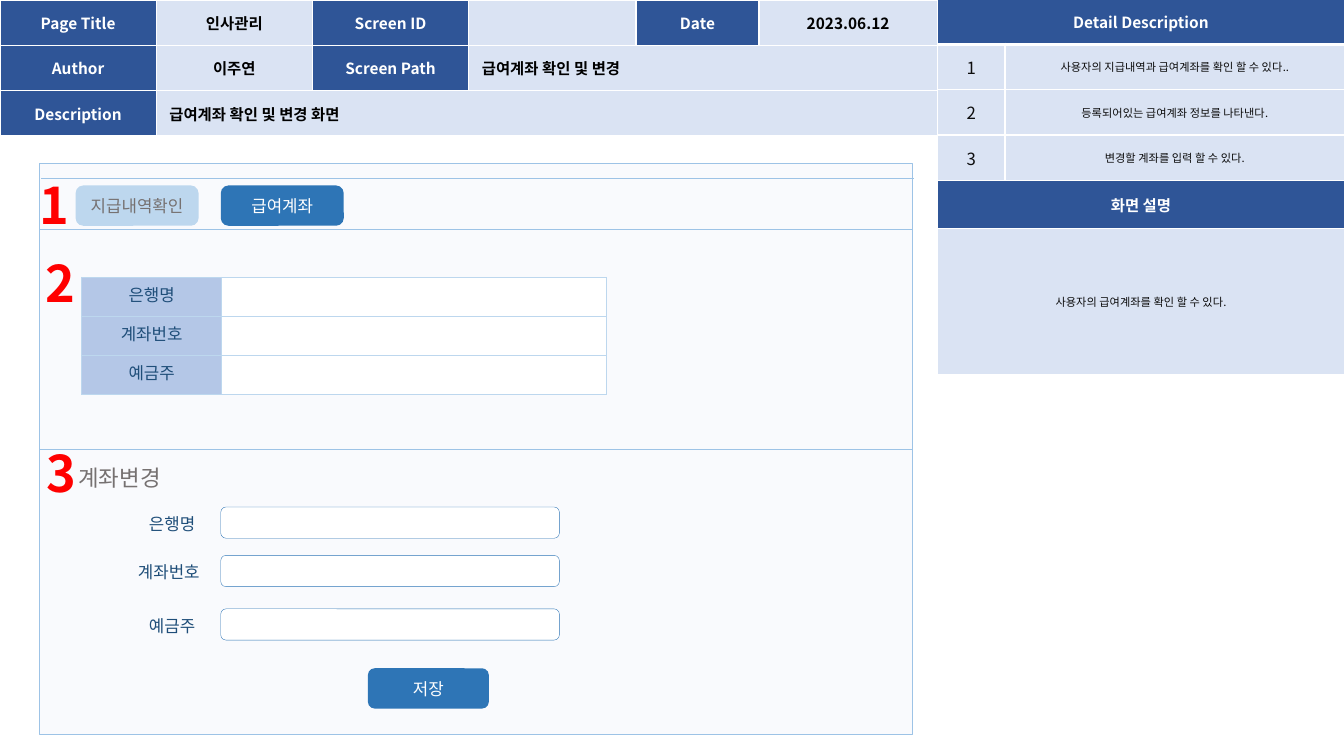
from dataclasses import dataclass, field

from pptx import Presentation
from pptx import util as u
from pptx.dml.color import RGBColor
from pptx.enum import shapes, text
from pptx.oxml.ns import qn
from lxml import etree

CENTER, LEFT = text.PP_ALIGN.CENTER, text.PP_ALIGN.LEFT
MIDDLE, TOP = text.MSO_ANCHOR.MIDDLE, text.MSO_ANCHOR.TOP
KIND = shapes.MSO_SHAPE


@dataclass(frozen=True)
class Style:
    """Look of a text and of the area behind it."""
    size: float
    color: str
    bold: bool = False
    fill: str | None = None
    align: int = CENTER
    anchor: int = MIDDLE
    inset: tuple = (1, 0.5)


@dataclass(frozen=True)
class Theme:
    font: str = "Noto Sans CJK KR"
    white: str = "FFFFFF"
    panel: str = "F9FAFD"
    rule: str = "9DC3E6"
    grid: str = "BDD7EE"
    button: str = "2E75B6"
    styles: dict = field(default_factory=lambda: {
        "head": Style(11, "FFFFFF", True, "2F5597", inset=(1.3, 0.5)),
        "value": Style(11, "000000", True, "DAE3F3", inset=(1.3, 0.5)),
        "phrase": Style(11, "000000", True, "DAE3F3", LEFT, inset=(1.3, 0.5)),
        "index": Style(12, "0D0D0D", False, "DAE3F3", inset=(1.3, 0.5)),
        "note": Style(8, "0D0D0D", False, "DAE3F3", inset=(1, 0.4)),
        "field": Style(12, "1F4E79", False, "B4C7E7", anchor=TOP),
        "entry": Style(12, "1F4E79", False, "FFFFFF", anchor=TOP),
        "label": Style(12, "1F4E79", align=LEFT, anchor=TOP),
        "section": Style(16, "767171", align=LEFT, anchor=TOP),
        "marker": Style(36, "FF0000", True, align=LEFT, anchor=TOP),
        "tab off": Style(12, "767171", fill="BDD7EE"),
        "tab on": Style(12, "FFFFFF", fill="2E75B6"),
    })


THEME = Theme()


def cells(count):
    """Grid steps, ten to the inch: the slide is 133.3 columns by 75 rows."""
    return u.Inches(count / 10)


def assign(target, values):
    for name, value in values.items():
        setattr(target, name, value)


def paint(area, color):
    area.fill.solid()
    area.fill.fore_color.rgb = RGBColor.from_string(color)


def outline(line, color, width):
    line.color.rgb = RGBColor.from_string(color)
    line.width = u.Pt(width)


def write(frame, words, style):
    para = frame.paragraphs[0]
    para.alignment = style.align
    if not words:
        etree.SubElement(para._p, qn("a:endParaRPr"), sz=str(int(style.size * 100)))
        return
    span = para.add_run()
    span.text = words
    assign(span.font, {"name": THEME.font, "size": u.Pt(style.size), "bold": style.bold})
    span.font.color.rgb = RGBColor.from_string(style.color)
    etree.SubElement(span.font._element, qn("a:ea"), typeface=THEME.font)


def margins(style):
    across, down = map(cells, style.inset)
    return {"margin_left": across, "margin_right": across,
            "margin_top": down, "margin_bottom": down}


def cell_borders(cell, color, width, bottom=None):
    properties = cell._tc.get_or_add_tcPr()
    for index, side in enumerate(("lnL", "lnR", "lnT", "lnB")):
        points = bottom if bottom and side == "lnB" else width
        edge = etree.Element(qn(f"a:{side}"), w=str(u.Pt(points)))
        solid = etree.SubElement(edge, qn("a:solidFill"))
        etree.SubElement(solid, qn("a:srgbClr"), val=color)
        properties.insert(index, edge)


def add_grid(page, left, top, columns, rows, content, border, bottom_of_head=None):
    """Content rows hold (words, style name, columns spanned)."""
    table = page.shapes.add_table(len(rows), len(columns), cells(left), cells(top),
                                  cells(sum(columns)), cells(sum(rows))).table
    assign(table, {"first_row": False, "horz_banding": False})
    for column, width in zip(table.columns, columns):
        column.width = cells(width)
    for row, height in zip(table.rows, rows):
        row.height = cells(height)
    for y, entries in enumerate(content):
        x = 0
        for words, name, reach in entries:
            style = THEME.styles[name]
            for offset in range(reach):
                cell = table.cell(y, x + offset)
                assign(cell, {**margins(style), "vertical_anchor": style.anchor})
                paint(cell, style.fill)
                cell_borders(cell, *border, bottom_of_head if y == 0 else None)
                write(cell.text_frame, "" if offset else words, style)
            if reach > 1:
                table.cell(y, x).merge(table.cell(y, x + reach - 1))
            x += reach


def add_panel(page, kind, place, fill, line=None, corner=None):
    panel = page.shapes.add_shape(kind, *map(cells, place))
    panel.shadow.inherit = False
    paint(panel, fill)
    if line:
        outline(panel.line, *line)
    else:
        panel.line.fill.background()
    if corner:
        panel.adjustments[0] = corner
    return panel


def add_button(page, words, name, place, corner):
    style = THEME.styles[name]
    button = add_panel(page, KIND.ROUNDED_RECTANGLE, place, style.fill, corner=corner)
    button.text_frame.vertical_anchor = style.anchor
    write(button.text_frame, words, style)


def add_words(page, words, name, place):
    style = THEME.styles[name]
    box = page.shapes.add_textbox(*map(cells, place))
    assign(box.text_frame, {"word_wrap": True, "vertical_anchor": style.anchor,
                            **margins(style)})
    write(box.text_frame, words, style)


def add_rule(page, left, top, width):
    rule = page.shapes.add_connector(shapes.MSO_CONNECTOR.STRAIGHT, cells(left), cells(top),
                                     cells(left + width), cells(top))
    outline(rule.line, THEME.rule, 0.5)
    etree.SubElement(rule._element.spPr, qn("a:effectLst"))


def main():
    deck = Presentation()
    assign(deck, {"slide_width": cells(133.33), "slide_height": cells(75)})
    page = deck.slides.add_slide(deck.slide_layouts[6])

    # Page details
    add_grid(page, 0, 0, [15.5, 15.5, 15.5, 16.6, 12.2, 17.7], [4.5] * 3, [
        [("Page Title", "head", 1), ("인사관리", "value", 1), ("Screen ID", "head", 1),
         ("", "value", 1), ("Date", "head", 1), ("2023.06.12", "value", 1)],
        [("Author", "head", 1), ("이주연", "value", 1), ("Screen Path", "head", 1),
         ("급여계좌 확인 및 변경", "phrase", 3)],
        [("Description", "head", 1), ("급여계좌 확인 및 변경 화면", "phrase", 5)],
    ], (THEME.white, 1))

    # Detail descriptions
    details = ["사용자의 지급내역과 급여계좌를 확인 할 수 있다..",
               "등록되어있는 급여계좌 정보를 나타낸다.",
               "변경할 계좌를 입력 할 수 있다."]
    add_grid(page, 93, -0.1, [6.7, 33.7], [4.5] * 4 + [4.8, 14.5], [
        [("Detail Description", "head", 2)],
        *[[(str(number), "index", 1), (detail, "note", 1)]
          for number, detail in enumerate(details, 1)],
        [("화면 설명", "head", 2)],
        [("사용자의 급여계좌를 확인 할 수 있다.", "note", 2)],
    ], (THEME.white, 1), bottom_of_head=3)

    # Screen frame and tabs
    add_panel(page, KIND.RECTANGLE, (3.9, 16.2, 86.6, 56.7), THEME.panel, (THEME.rule, 0.5))
    for left, top in ((4.1, 17.7), (4, 22.8), (3.9, 44.6)):
        add_rule(page, left, top, 86.6)
    add_button(page, "지급내역확인", "tab off", (7.5, 18.4, 12.2, 4), 0.19)
    add_button(page, "급여계좌", "tab on", (21.9, 18.4, 12.2, 4), 0.19)

    # Registered account
    names = ["은행명", "계좌번호", "예금주"]
    add_grid(page, 8.1, 27.5, [13.9, 38.2], [3.87] * 3,
             [[(name, "field", 1), ("", "entry", 1)] for name in names], (THEME.grid, 0.75))

    # Account change form
    add_words(page, "계좌변경", "section", (6.8, 45.6, 24.5, 3.7))
    for name, left, top in zip(names, (13.8, 12.7, 13.8), (50.3, 55.1, 60.4)):
        add_panel(page, KIND.ROUNDED_RECTANGLE, (21.9, top, 33.6, 3.1), THEME.white,
                  (THEME.button, 0.25), 0.17)
        add_words(page, name, "label", (left, top + 0.15, 11, 3))
    add_button(page, "저장", "tab on", (36.5, 66.3, 12, 4), 0.17)

    # Red markers
    for number, left, top in ((1, 2.9, 16.8), (2, 3.5, 24.5), (3, 3.6, 43.4)):
        add_words(page, str(number), "marker", (left, top, 6.4, 7.1))

    deck.save("out.pptx")


if __name__ == "__main__":
    main()
